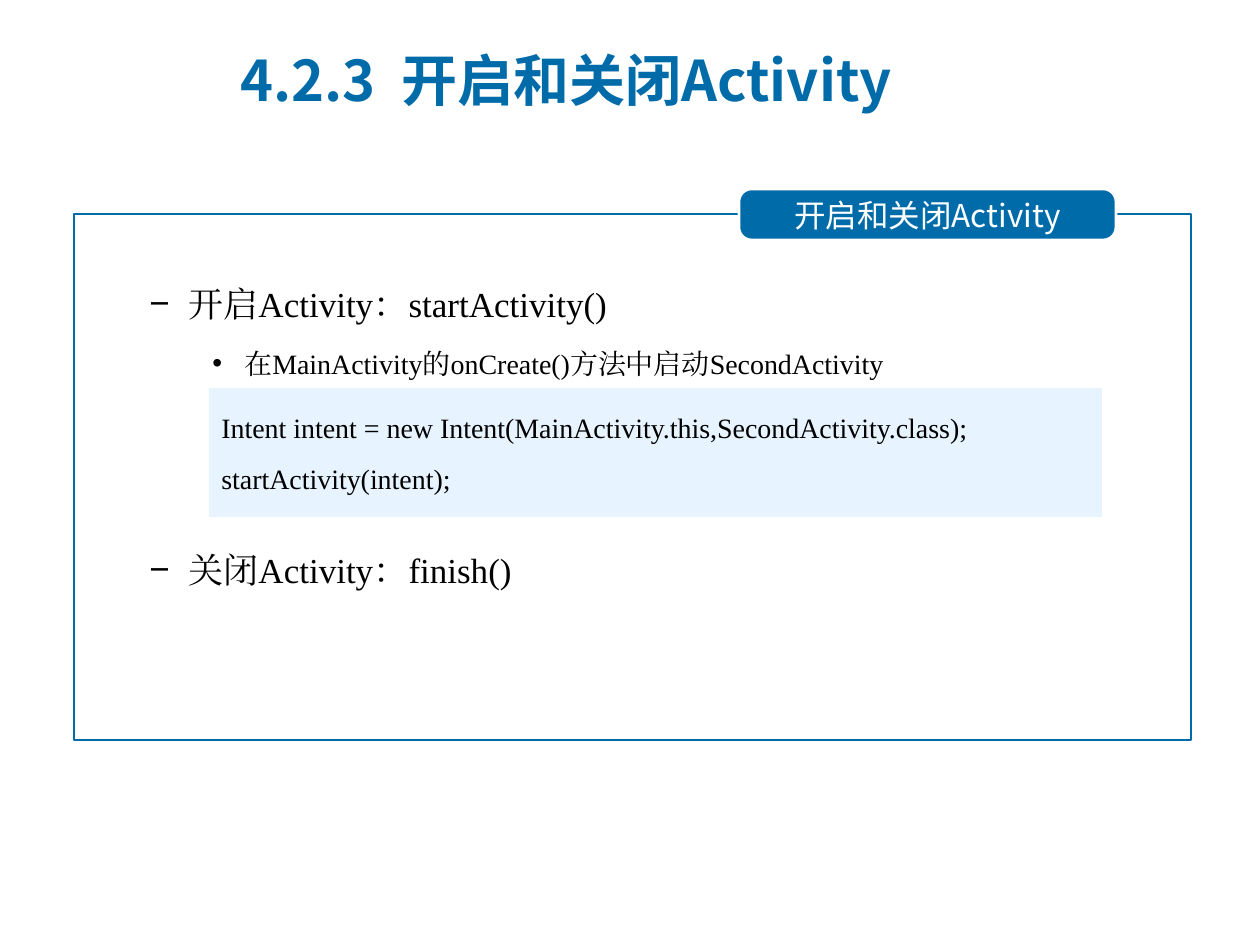
"""Build the slide on starting and closing an Activity."""
from lxml import etree
from pptx import Presentation
from pptx.dml.color import RGBColor
from pptx.enum.lang import MSO_LANGUAGE_ID
from pptx.enum.shapes import MSO_SHAPE
from pptx.enum.text import MSO_ANCHOR, PP_ALIGN
from pptx.oxml.ns import qn
from pptx.util import Pt

RECTANGLE = MSO_SHAPE.RECTANGLE
ROUNDED = MSO_SHAPE.ROUNDED_RECTANGLE
MIDDLE, TOP = MSO_ANCHOR.MIDDLE, MSO_ANCHOR.TOP
LEFT, CENTER = PP_ALIGN.LEFT, PP_ALIGN.CENTER
CHINESE = MSO_LANGUAGE_ID.SIMPLIFIED_CHINESE
EMU_PER_PX = 914400 / 126
SANS, SERIF = "Noto Sans CJK SC", "Times New Roman"
COLORS = {"blue": "006BA9", "pale": "E7F4FF", "white": "FFFFFF", "black": "000000"}


def px(length):
    return round(length * EMU_PER_PX)


def color(name):
    return RGBColor.from_string(COLORS[name])


def add_span(para, text, *, size, font=SERIF, asian=SERIF, ink="black", bold=False, tracking=0):
    span = para.add_run()
    span.text = text
    span.font.size = Pt(size)
    span.font.name = font
    span.font.bold = bold
    span.font.color.rgb = color(ink)
    span.font.language_id = CHINESE
    properties = span.font._element
    etree.SubElement(properties, qn("a:ea")).set("typeface", asian)
    if tracking:
        properties.set("spc", str(tracking * 100))


class SlideBuilder:
    def __init__(self, slide):
        self.slide = slide

    def shape(self, kind, left, top, width, height, fill=None, line=None):
        shape = self.slide.shapes.add_shape(kind, px(left), px(top), px(width), px(height))
        shape.shadow.inherit = False
        if fill:
            shape.fill.solid()
            shape.fill.fore_color.rgb = color(fill)
        else:
            shape.fill.background()
        if line:
            shape.line.color.rgb = color(line)
            shape.line.width = Pt(1.5)
        else:
            shape.line.fill.background()
        return shape

    def text_box(self, left, top, width, height, anchor=TOP):
        box = self.slide.shapes.add_textbox(px(left), px(top), px(width), px(height))
        self.frame(box, anchor)
        return box

    def frame(self, box, anchor):
        box.text_frame.word_wrap = True
        box.text_frame.vertical_anchor = anchor

    def para(self, box, first=False, align=LEFT, leading=1.5, before=0):
        frame = box.text_frame
        para = frame.paragraphs[0] if first else frame.add_paragraph()
        para.alignment = align
        para.line_spacing = leading
        para.space_before = Pt(before)
        return para

    def bullet(self, box, mark, margin, hang, level, spans, size, first=False):
        para = self.para(box, first, before=0 if first else size * 0.2)
        para.level = level
        properties = para._p.get_or_add_pPr()
        properties.set("marL", str(px(margin)))
        properties.set("indent", str(-px(hang)))
        etree.SubElement(properties, qn("a:buFont")).set("typeface", "Arial")
        etree.SubElement(properties, qn("a:buChar")).set("char", mark)
        for text, font in spans:
            add_span(para, text, size=size, font=font)


def main():
    deck = Presentation()
    deck.slide_width, deck.slide_height = px(1260), px(945)
    page = SlideBuilder(deck.slides.add_slide(deck.slide_layouts[6]))

    opening = page.text_box(74, 255, 1110, 130)
    page.bullet(opening, "−", 102, 39, 1,
                [("开启", SANS), ("Activity：startActivity()", SERIF)], 20, first=True)
    page.bullet(opening, "•", 158, 32, 2,
                [("在", SANS), ("MainActivity", SERIF), ("的", SANS),
                 ("onCreate()", SERIF), ("方法中启动", SANS), ("SecondActivity", SERIF)], 16)
    closing = page.text_box(74, 521, 1110, 84)
    page.bullet(closing, "−", 102, 39, 1, [("关闭Activity：finish()", SERIF)], 20, first=True)

    page.shape(RECTANGLE, 74, 214, 1117, 526, line="blue")
    label = page.shape(ROUNDED, 739, 189, 377, 51, fill="blue", line="white")
    label.adjustments[0] = 0.25
    page.frame(label, MIDDLE)
    add_span(page.para(label, True, CENTER, leading=1), "开启和关闭Activity",
             size=18, font=SANS, asian=SANS, ink="white")

    title = page.text_box(228, 26, 709, 106, MIDDLE)
    heading = page.para(title, True, leading=1)
    for text, tracking in (("4.2.3", 0), (" ", 7), ("开启和关闭Activity", 0)):
        add_span(heading, text, size=32, font=SANS, asian=SANS, ink="blue",
                 bold=True, tracking=tracking)

    code = page.shape(RECTANGLE, 209, 388, 893, 129, fill="pale")
    page.frame(code, TOP)
    lines = ("Intent intent = new Intent(MainActivity.this,SecondActivity.class);",
             "startActivity(intent);")
    for index, line in enumerate(lines):
        add_span(page.para(code, index == 0), line, size=16)

    deck.save("out.pptx")


if __name__ == "__main__":
    main()
